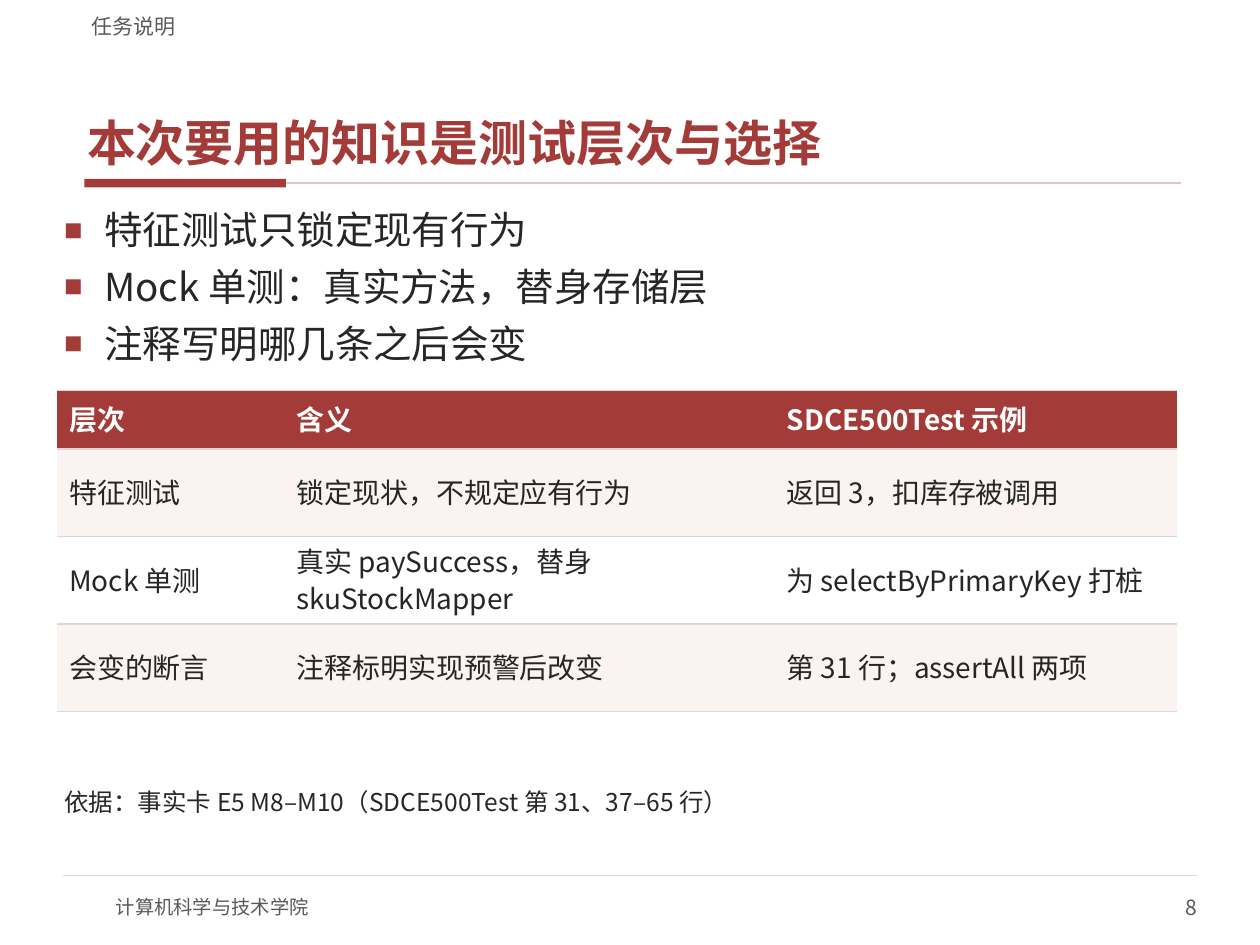
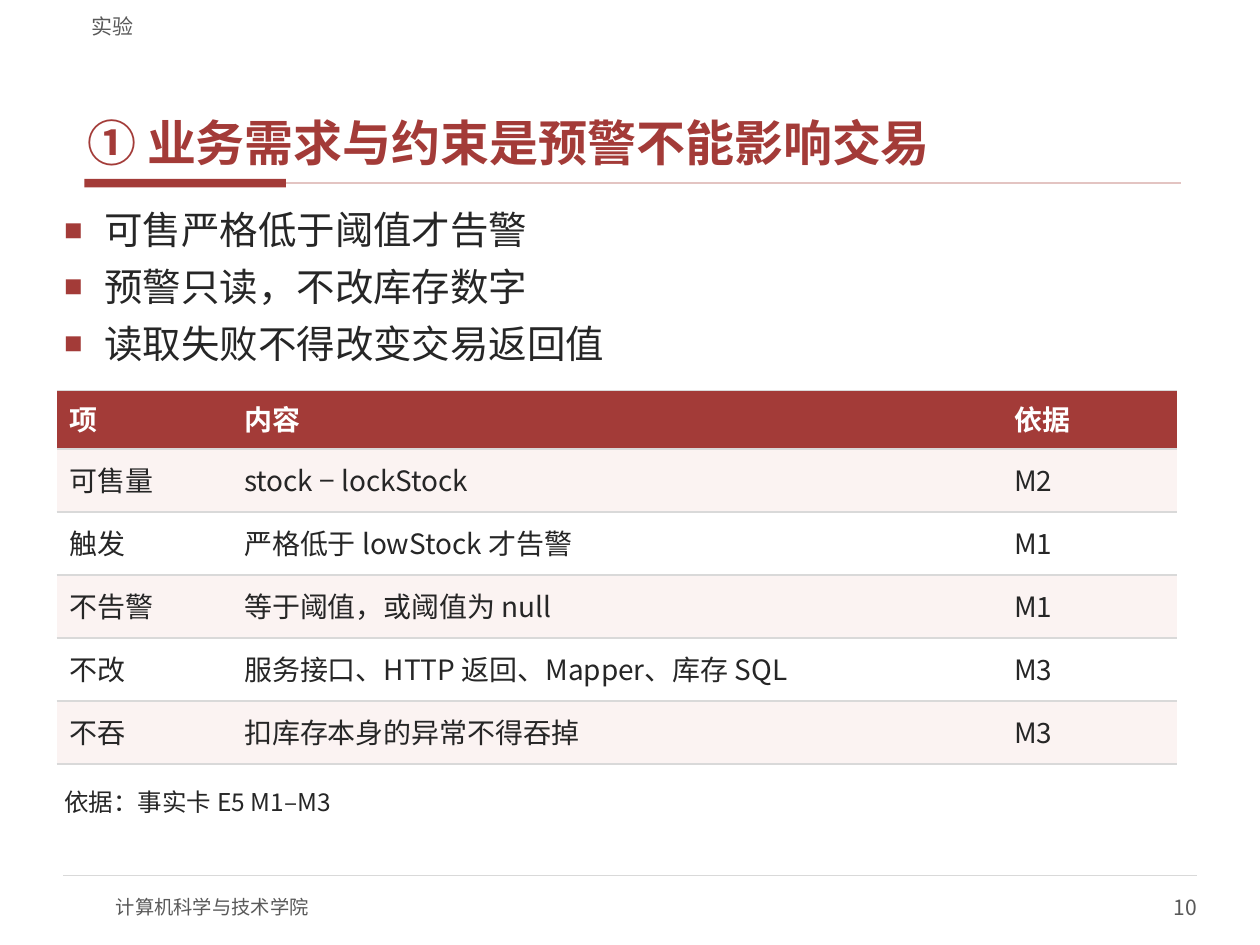
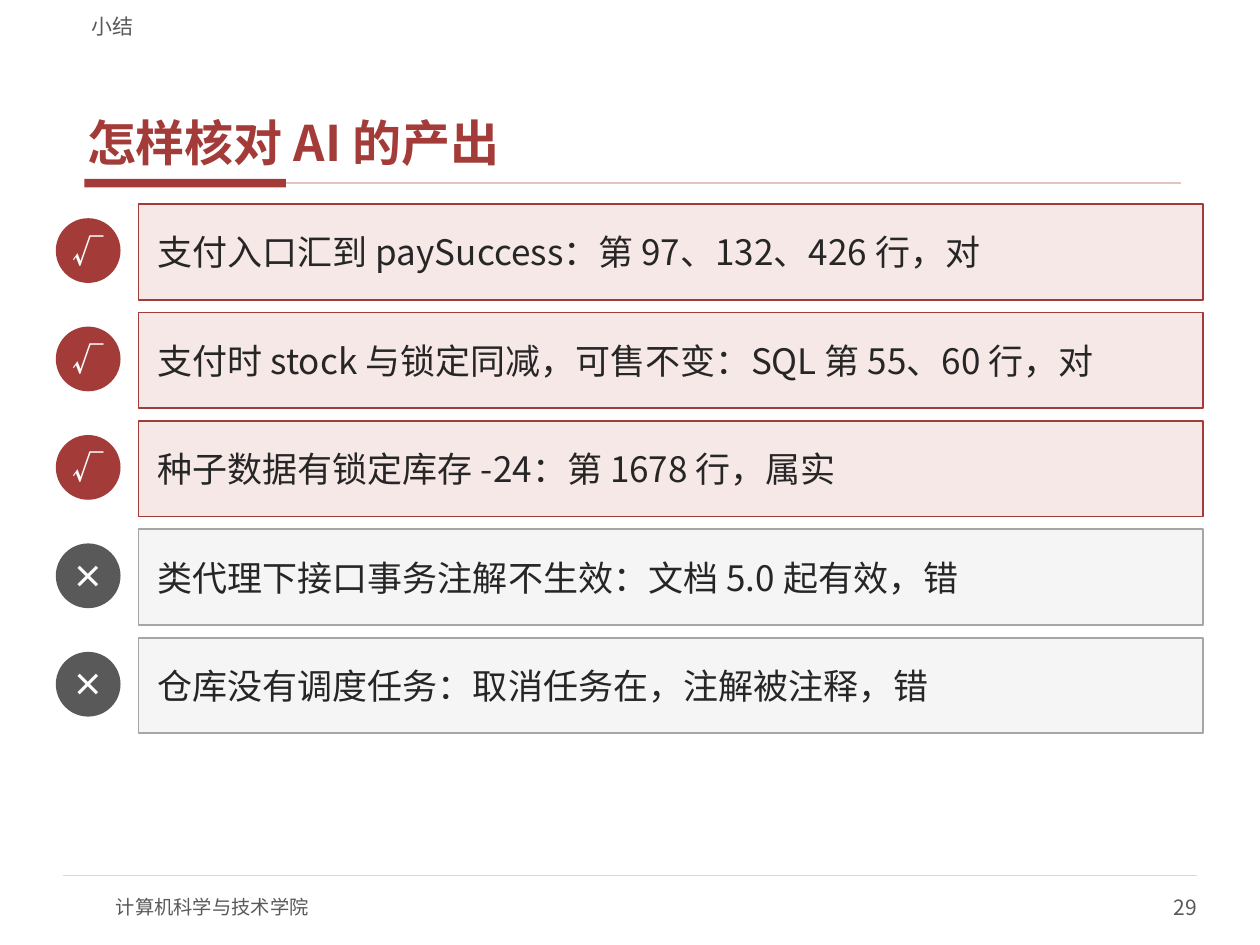
from dataclasses import dataclass
from typing import Any

from lxml import etree
from pptx import Presentation
from pptx.dml.color import RGBColor
from pptx.enum import shapes, text
from pptx.oxml import ns
from pptx.util import Pt

FONT = "Noto Sans CJK SC"
COLORS = {
    "red": "A33B38", "rule": "E3C4C2", "grid": "D9D9D9", "gray": "595959",
    "ink": "262626", "white": "FFFFFF", "band": "FBF3F2",
    "right_fill": "F6E8E6", "wrong_fill": "F5F5F5", "wrong_line": "A6A6A6",
}
LEFT, CENTER, RIGHT = text.PP_ALIGN.LEFT, text.PP_ALIGN.CENTER, text.PP_ALIGN.RIGHT
TOP, MIDDLE, BOTTOM = text.MSO_ANCHOR.TOP, text.MSO_ANCHOR.MIDDLE, text.MSO_ANCHOR.BOTTOM
NO_GRID_STYLE = "{2D5ABB26-0587-4C30-8999-92F81FD0307C}"
PAD = (4.3, 1.4)


@dataclass(frozen=True)
class Box:
    x: float
    y: float
    w: float
    h: float

    def lengths(self) -> tuple:
        return Pt(self.x), Pt(self.y), Pt(self.w), Pt(self.h)


@dataclass(frozen=True)
class Style:
    size: float
    color: str
    bold: bool = False
    align: Any = LEFT
    anchor: Any = TOP
    pad: tuple[float, float] = (0, 0)
    before: float = 0
    after: float = 0
    spacing: float = 1.0
    bullet: bool = False


@dataclass(frozen=True)
class Grid:
    widths: list[float]
    row_height: float
    rows: list[list[str]]


@dataclass(frozen=True)
class Check:
    words: str
    correct: bool


@dataclass(frozen=True)
class Page:
    section: str
    number: int
    title: str
    bullets: tuple[str, ...] = ()
    grid: Grid | None = None
    source: str = ""
    checks: tuple[Check, ...] = ()


# Shared places
SECTION = Box(45.4, 2.9, 630, 19.4)
TITLE = Box(45.4, 23.8, 630, 75.6)
ACCENT = Box(48.2, 102.2, 115.2, 5)
RULE_END = 674.6
FOOT_Y = 500.4
FOOTER = Box(66.2, 504, 288, 28.8)
NUMBER = Box(540, 504, 144, 28.8)
BODY = Box(32.4, 116.6, 655.2, 98.6)
TABLE_X, TABLE_Y, HEADER_H = 32.4, 223.2, 33.4
SOURCE = Box(32.4, 448.6, 655.2, 36)
CARD = Box(79.2, 116.6, 608.4, 54.7)
CARD_STEP = 61.95
MARK = Box(32.4, 125.2, 36, 36)

# Shared text styles
SECTION_STYLE = Style(12, "gray", anchor=BOTTOM, pad=(7.2, 0))
TITLE_STYLE = Style(28, "red", bold=True, anchor=BOTTOM, pad=PAD, after=2)
FOOTER_STYLE = Style(11, "gray", anchor=MIDDLE)
NUMBER_STYLE = Style(12, "gray", align=RIGHT, anchor=MIDDLE)
BODY_STYLE = Style(22, "ink", pad=PAD, before=4, after=2, bullet=True)
SOURCE_STYLE = Style(14, "ink", pad=PAD, after=2)
HEAD_STYLE = Style(16, "white", bold=True, after=2, spacing=0.9)
CELL_STYLE = Style(16, "ink", after=2, spacing=0.9)
CARD_STYLE = Style(20, "ink", anchor=MIDDLE, pad=(10.8, 5))
MARK_STYLE = Style(18, "white", bold=True, align=CENTER, anchor=MIDDLE)


def rgb(name: str) -> RGBColor:
    return RGBColor.from_string(COLORS[name])


def set_all(target: Any, values: dict[str, Any]) -> None:
    for name, value in values.items():
        setattr(target, name, value)


def child(parent: Any, tag: str, **attrs: str) -> Any:
    return etree.SubElement(parent, ns.qn(tag), attrs)


def write(tf: Any, lines: tuple[str, ...], style: Style) -> None:
    """Fill a text frame with one paragraph per line."""
    for i, line in enumerate(lines):
        p = tf.paragraphs[0] if i == 0 else tf.add_paragraph()
        set_all(p, {"alignment": style.align, "line_spacing": style.spacing,
                    "space_before": Pt(style.before if i else 0),
                    "space_after": Pt(style.after)})
        if style.bullet:
            pPr = p._p.get_or_add_pPr()
            pPr.set("marL", str(Pt(23)))
            pPr.set("indent", str(-Pt(23)))
            child(child(pPr, "a:buClr"), "a:srgbClr", val=COLORS["red"])
            child(pPr, "a:buSzPct", val="80000")
            child(pPr, "a:buChar", char="■")
        r = p.add_run()
        r.text = line
        set_all(r.font, {"name": FONT, "size": Pt(style.size), "bold": style.bold})
        r.font.color.rgb = rgb(style.color)
        child(r._r.get_or_add_rPr(), "a:ea", typeface=FONT)


def write_box(sp: Any, lines: tuple[str, ...], style: Style) -> None:
    """Set the frame of a shape, then its text."""
    tf = sp.text_frame
    across, down = Pt(style.pad[0]), Pt(style.pad[1])
    set_all(tf, {"word_wrap": True, "auto_size": text.MSO_AUTO_SIZE.NONE,
                 "vertical_anchor": style.anchor,
                 "margin_left": across, "margin_right": across,
                 "margin_top": down, "margin_bottom": down})
    write(tf, lines, style)


def add_text(s: Any, box: Box, words: str, style: Style) -> None:
    write_box(s.shapes.add_textbox(*box.lengths()), (words,), style)


def fill_placeholder(sp: Any, box: Box, lines: tuple[str, ...], style: Style) -> None:
    set_all(sp, dict(zip(("left", "top", "width", "height"), box.lengths())))
    write_box(sp, lines, style)


def add_shape(s: Any, kind: Any, box: Box, fill: str, line: str | None = None) -> Any:
    sp = s.shapes.add_shape(kind, *box.lengths())
    sp.shadow.inherit = False
    sp.fill.solid()
    sp.fill.fore_color.rgb = rgb(fill)
    if line:
        sp.line.color.rgb = rgb(line)
        sp.line.width = Pt(1)
    else:
        sp.line.fill.background()
    return sp


def add_line(s: Any, x1: float, x2: float, y: float, color: str, width: float) -> Any:
    c = s.shapes.add_connector(shapes.MSO_CONNECTOR.STRAIGHT, Pt(x1), Pt(y), Pt(x2), Pt(y))
    c.line.color.rgb = rgb(color)
    c.line.width = Pt(width)
    child(c._element.spPr, "a:effectLst")
    return c


def add_frame(s: Any, page: Page) -> None:
    """Title, accent rule, footer and section label."""
    bar = add_shape(s, shapes.MSO_SHAPE.RECTANGLE, ACCENT, "red")
    rule_y = ACCENT.y + ACCENT.h / 2
    add_line(s, ACCENT.x + ACCENT.w, RULE_END, rule_y, "rule", 1).begin_connect(bar, 3)
    add_line(s, 36, 684, FOOT_Y, "grid", 0.75)
    add_text(s, FOOTER, "计算机科学与技术学院", FOOTER_STYLE)
    add_text(s, NUMBER, str(page.number), NUMBER_STYLE)
    add_text(s, SECTION, page.section, SECTION_STYLE)
    fill_placeholder(s.shapes.title, TITLE, (page.title,), TITLE_STYLE)


def add_grid(s: Any, grid: Grid) -> None:
    heights = [HEADER_H] + [grid.row_height] * (len(grid.rows) - 1)
    box = Box(TABLE_X, TABLE_Y, sum(grid.widths), sum(heights))
    table = s.shapes.add_table(len(heights), len(grid.widths), *box.lengths()).table
    table._tbl.tblPr.find(ns.qn("a:tableStyleId")).text = NO_GRID_STYLE
    table.horz_banding = False
    for column, width in zip(table.columns, grid.widths):
        column.width = Pt(width)
    for i, (row, height) in enumerate(zip(table.rows, heights)):
        row.height = Pt(height)
        fill = "red" if i == 0 else "band" if i % 2 else "white"
        for cell, words in zip(row.cells, grid.rows[i]):
            cell.vertical_anchor = MIDDLE
            tcPr = cell._tc.get_or_add_tcPr()
            for side in ("a:lnT", "a:lnB"):
                ln = child(tcPr, side, w=str(Pt(0.75)))
                child(child(ln, "a:solidFill"), "a:srgbClr", val=COLORS["grid"])
            cell.fill.solid()
            cell.fill.fore_color.rgb = rgb(fill)
            write(cell.text_frame, (words,), CELL_STYLE if i else HEAD_STYLE)


def add_checks(s: Any, checks: tuple[Check, ...]) -> None:
    """Stack verdict cards, each with a round mark."""
    for i, check in enumerate(checks):
        sign, tone, fill, line = (("√", "red", "right_fill", "red") if check.correct
                                  else ("×", "gray", "wrong_fill", "wrong_line"))
        drop = i * CARD_STEP
        mark = Box(MARK.x, MARK.y + drop, MARK.w, MARK.h)
        card = Box(CARD.x, CARD.y + drop, CARD.w, CARD.h)
        write_box(add_shape(s, shapes.MSO_SHAPE.OVAL, mark, tone, tone), (sign,), MARK_STYLE)
        write_box(add_shape(s, shapes.MSO_SHAPE.RECTANGLE, card, fill, line),
                  (check.words,), CARD_STYLE)


PAGES = (
    Page("任务说明", 8, "本次要用的知识是测试层次与选择",
         bullets=("特征测试只锁定现有行为", "Mock 单测：真实方法，替身存储层", "注释写明哪几条之后会变"),
         grid=Grid([130, 280, 230], 50, [
             ["层次", "含义", "SDCE500Test 示例"],
             ["特征测试", "锁定现状，不规定应有行为", "返回 3，扣库存被调用"],
             ["Mock 单测", "真实 paySuccess，替身 skuStockMapper", "为 selectByPrimaryKey 打桩"],
             ["会变的断言", "注释标明实现预警后改变", "第 31 行；assertAll 两项"],
         ]),
         source="依据：事实卡 E5 M8–M10（SDCE500Test 第 31、37–65 行）"),
    Page("实验", 10, "① 业务需求与约束是预警不能影响交易",
         bullets=("可售严格低于阈值才告警", "预警只读，不改库存数字", "读取失败不得改变交易返回值"),
         grid=Grid([100, 440, 100], 36, [
             ["项", "内容", "依据"],
             ["可售量", "stock − lockStock", "M2"],
             ["触发", "严格低于 lowStock 才告警", "M1"],
             ["不告警", "等于阈值，或阈值为 null", "M1"],
             ["不改", "服务接口、HTTP 返回、Mapper、库存 SQL", "M3"],
             ["不吞", "扣库存本身的异常不得吞掉", "M3"],
         ]),
         source="依据：事实卡 E5 M1–M3"),
    Page("小结", 29, "怎样核对 AI 的产出", checks=(
        Check("支付入口汇到 paySuccess：第 97、132、426 行，对", True),
        Check("支付时 stock 与锁定同减，可售不变：SQL 第 55、60 行，对", True),
        Check("种子数据有锁定库存 -24：第 1678 行，属实", True),
        Check("类代理下接口事务注解不生效：文档 5.0 起有效，错", False),
        Check("仓库没有调度任务：取消任务在，注解被注释，错", False),
    )),
)


def main() -> None:
    prs = Presentation()
    prs.slide_width, prs.slide_height = Pt(720), Pt(540)
    for page in PAGES:
        # Title and Content where there is a list, else Title Only
        s = prs.slides.add_slide(prs.slide_layouts[1 if page.bullets else 5])
        add_frame(s, page)
        if page.bullets:
            fill_placeholder(s.placeholders[1], BODY, page.bullets, BODY_STYLE)
        if page.grid:
            add_grid(s, page.grid)
        if page.source:
            add_text(s, SOURCE, page.source, SOURCE_STYLE)
        add_checks(s, page.checks)
    prs.save("out.pptx")


if __name__ == "__main__":
    main()
